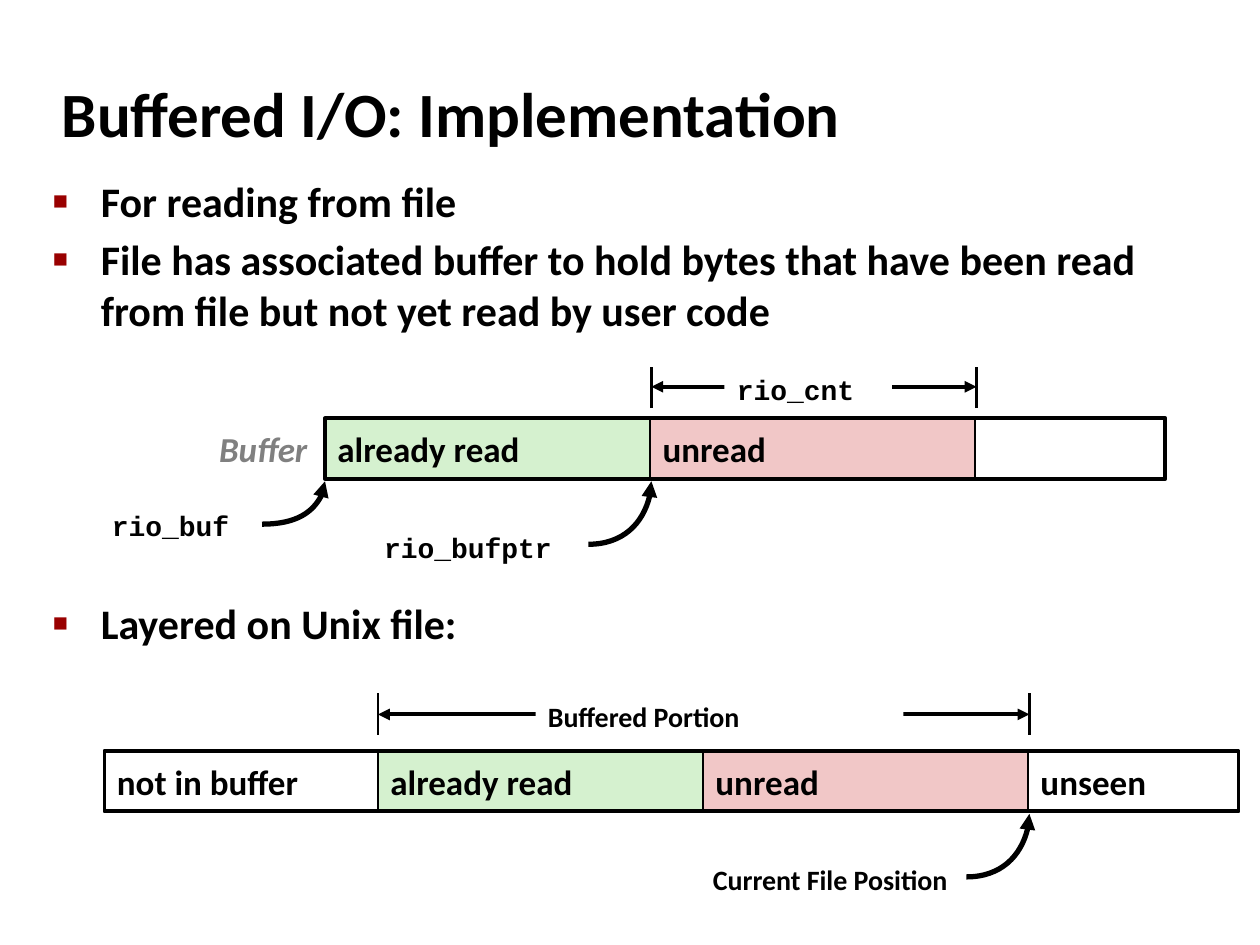
from dataclasses import dataclass

from lxml import etree
from pptx import Presentation
from pptx.dml.color import RGBColor
from pptx.enum.shapes import MSO_CONNECTOR, MSO_SHAPE
from pptx.enum.text import MSO_ANCHOR, MSO_AUTO_SIZE, PP_ALIGN
from pptx.oxml.ns import qn
from pptx.util import Inches, Pt

RECT, STRAIGHT = MSO_SHAPE.RECTANGLE, MSO_CONNECTOR.STRAIGHT
MIDDLE, TOP = MSO_ANCHOR.MIDDLE, MSO_ANCHOR.TOP
LEFT, RIGHT = PP_ALIGN.LEFT, PP_ALIGN.RIGHT


@dataclass(frozen=True)
class Theme:
    ink: str = "000000"
    muted: str = "808080"
    paper: str = "FFFFFF"
    bullet: str = "990000"
    read: str = "D5F1CF"
    unread: str = "F1C7C7"
    sans: str = "Calibri"
    mono: str = "Courier New"
    title: int = 36
    body: int = 24
    cell: int = 20
    label: int = 16


T = Theme()


def write(tf, text, size, font=T.sans, color=T.ink, anchor=TOP, align=LEFT):
    """Fill a text frame, one paragraph a line, in bold."""
    tf.text = text
    tf.word_wrap = True
    tf.auto_size = MSO_AUTO_SIZE.NONE
    tf.vertical_anchor = anchor
    for p in tf.paragraphs:
        p.alignment = align
        for r in p.runs:
            r.font.name, r.font.size, r.font.bold = font, Pt(size), True
            r.font.color.rgb = RGBColor.from_string(color)


def stroke(shape, width, *ends):
    """Draw a black line with triangles at the named ends, without shadow."""
    shape.line.color.rgb = RGBColor.from_string(T.ink)
    shape.line.width = Pt(width)
    ln = shape.line._get_or_add_ln()
    for end in ends:
        etree.SubElement(ln, qn(f"a:{end}"), type="triangle")
    sp_pr = ln.getparent()
    if sp_pr.find(qn("a:effectLst")) is None:
        etree.SubElement(sp_pr, qn("a:effectLst"))


prs = Presentation()
prs.slide_width, prs.slide_height = Inches(10), Inches(7.5)
s = prs.slides.add_slide(prs.slide_layouts[1])

# Title and list
title, body = s.shapes.title, s.placeholders[1]
for sp, box in ((title, (0.39, 0.48, 8.3, 0.83)), (body, (0.32, 1.34, 9.09, 4.33))):
    sp.left, sp.top, sp.width, sp.height = map(Inches, box)
write(title.text_frame, "Buffered I/O: Implementation", T.title, anchor=MIDDLE)
bullets = [
    "For reading from file",
    "File has associated buffer to hold bytes that have been read "
    "from file but not yet read by user code",
    "Layered on Unix file:",
]
write(body.text_frame, "\n".join(bullets), T.body)
# The last bullet leaves room for the first diagram
for p, before in zip(body.text_frame.paragraphs, (0, 4.8, 150)):
    pPr = p._p.get_or_add_pPr()
    pPr.set("marL", str(Inches(0.38)))
    pPr.set("indent", str(-Inches(0.38)))
    color = etree.SubElement(pPr, qn("a:buClr"))
    etree.SubElement(color, qn("a:srgbClr"), val=T.bullet)
    etree.SubElement(pPr, qn("a:buSzPct"), val="60000")
    etree.SubElement(pPr, qn("a:buChar"), char="■")
    p.space_before = Pt(before)

# Buffer and file bars: top, left, full width, cells (text, width, fill)
SEGMENT, BAR_H = 2.58, 0.48
pair = [("already read", SEGMENT, T.read), ("unread", SEGMENT, T.unread)]
bars = [
    (3.32, 2.58, 6.67, pair),
    (5.96, 0.83, 9, [("not in buffer", 2.17, T.paper), *pair, ("unseen", 1.67, T.paper)]),
]
for top, left, width, cells in bars:
    x = left
    for text, cell_w, fill in cells:
        sp = s.shapes.add_shape(RECT, Inches(x), Inches(top), Inches(cell_w), Inches(BAR_H))
        sp.shadow.inherit = False
        sp.fill.solid()
        sp.fill.fore_color.rgb = RGBColor.from_string(fill)
        stroke(sp, 1.5)
        write(sp.text_frame, text, T.cell, anchor=MIDDLE)
        x += cell_w
    frame = s.shapes.add_shape(RECT, Inches(left), Inches(top), Inches(width), Inches(BAR_H))
    frame.shadow.inherit = False
    frame.fill.background()
    stroke(frame, 2.25)

# Measured spans above the bars: left, right, tick top, arrow height
for x1, x2, top, y in ((5.17, 7.75, 2.91, 3.07), (3, 8.17, 5.5, 5.67)):
    for x in (x1, x2):
        tick = s.shapes.add_connector(STRAIGHT, Inches(x), Inches(top + 0.33), Inches(x), Inches(top))
        stroke(tick, 1.5)
    span = s.shapes.add_connector(STRAIGHT, Inches(x1), Inches(y), Inches(x2), Inches(y))
    stroke(span, 2.25, "headEnd", "tailEnd")

# Curved pointers: tip x, tip y, rise
RUN = 0.5
for tip_x, tip_y, rise in ((2.58, 3.82, 0.34), (5.17, 3.82, 0.5), (8.17, 6.46, 0.5)):
    fb = s.shapes.build_freeform(Inches(tip_x - RUN), Inches(tip_y + rise))
    fb.add_line_segments([(Inches(tip_x), Inches(tip_y))], close=False)
    sp = fb.convert_to_shape()
    segment = next(sp._element.iter(qn("a:lnTo")))
    curve = etree.Element(qn("a:cubicBezTo"))
    for fx, fy in ((0.55, 1), (1, 0.55), (1, 0)):
        etree.SubElement(curve, qn("a:pt"), x=str(int(fx * sp.width)), y=str(int(fy * sp.height)))
    segment.getparent().replace(segment, curve)
    sp.shadow.inherit = False
    sp.fill.background()
    stroke(sp, 3, "tailEnd")

# Labels: text, box, font, alignment, on white
labels = [
    ("rio_buf", (0.79, 3.99, 1.14, 0.34), T.mono, LEFT, False),
    ("rio_bufptr", (2.95, 4.16, 1.75, 0.34), T.mono, LEFT, False),
    ("rio_cnt", (5.75, 2.91, 1.33, 0.34), T.mono, LEFT, True),
    ("Current File Position", (4.79, 6.8, 2.83, 0.37), T.sans, RIGHT, False),
    ("Buffered Portion", (4.25, 5.5, 2.92, 0.37), T.sans, LEFT, True),
]
for text, box, font, align, on_white in labels:
    sp = s.shapes.add_textbox(*map(Inches, box))
    write(sp.text_frame, text, T.label, font, align=align)
    if on_white:
        sp.fill.solid()
        sp.fill.fore_color.rgb = RGBColor.from_string(T.paper)

sp = s.shapes.add_textbox(Inches(1.64), Inches(3.34), Inches(0.93), Inches(0.44))
write(sp.text_frame, "Buffer", T.cell, color=T.muted)
sp.text_frame.word_wrap = False
sp.text_frame.paragraphs[0].runs[0].font.italic = True

prs.save("out.pptx")
